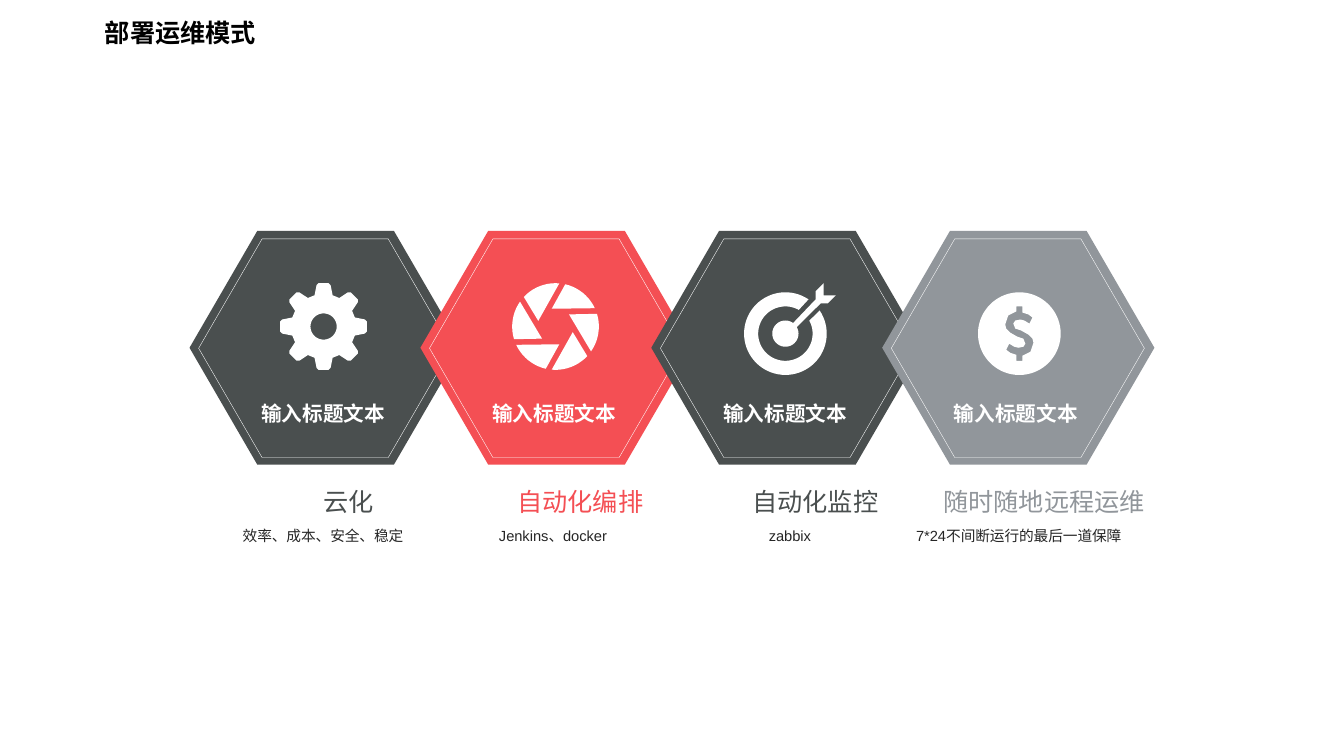
import math

import pptx
import pptx.dml.color
import pptx.enum.shapes
import pptx.enum.text
import pptx.util

Inches = pptx.util.Inches
Pt = pptx.util.Pt
Anchor = pptx.enum.text.MSO_ANCHOR
CENTER = pptx.enum.text.PP_ALIGN.CENTER
HEXAGON = pptx.enum.shapes.MSO_SHAPE.HEXAGON

WHITE = pptx.dml.color.RGBColor(0xFF, 0xFF, 0xFF)
BLACK = pptx.dml.color.RGBColor(0x00, 0x00, 0x00)
CHARCOAL = pptx.dml.color.RGBColor(0x4A, 0x4F, 0x4F)
RED = pptx.dml.color.RGBColor(0xF4, 0x4F, 0x54)
GREY = pptx.dml.color.RGBColor(0x91, 0x96, 0x9B)
BODY = pptx.dml.color.RGBColor(0x26, 0x26, 0x26)


def arc(radius, start, end):
    """Return points along a circle about (0, 0), angles in degrees clockwise from the right."""
    steps = max(4, round(abs(end - start) / 5))
    angles = [math.radians(start + (end - start) * step / steps) for step in range(steps + 1)]
    return [(radius * math.cos(angle), radius * math.sin(angle)) for angle in angles]


def write(shape, text, size, color, anchor, margin_bottom=0, wrap=False, bold=False):
    """Fill a shape with one centred paragraph and return that paragraph."""
    frame = shape.text_frame
    frame_format = {
        "margin_left": 0, "margin_top": 0, "margin_right": 0,
        "margin_bottom": Inches(margin_bottom),
        "word_wrap": wrap, "vertical_anchor": anchor,
    }
    for name, value in frame_format.items():
        setattr(frame, name, value)
    paragraph = frame.paragraphs[0]
    paragraph.text = text
    paragraph.alignment = CENTER
    for name, value in {"name": "Arial", "size": Pt(size), "bold": bold}.items():
        setattr(paragraph.font, name, value)
    paragraph.font.color.rgb = color
    return paragraph


# Icon outlines are lists of contours about the icon's centre, in inches.
tooth = [(-0.09, -0.31), (-0.07, -0.41), (-0.05, -0.43),
         (0.05, -0.43), (0.07, -0.41), (0.09, -0.31)]
gear_rim = []
for turn in range(8):
    cosine, sine = math.cos(turn * math.pi / 4), math.sin(turn * math.pi / 4)
    gear_rim += [(x * cosine - y * sine, x * sine + y * cosine) for x, y in tooth]
gear = [gear_rim, arc(0.13, 0, 360)]

blade_tip_radius, blade_tip_angle = 0.18, -102
aperture = []
for turn in range(0, 360, 60):
    blade_tip = arc(blade_tip_radius, blade_tip_angle + turn, blade_tip_angle + turn)[0]
    aperture.append(arc(0.43, turn - 77, turn - 25) + [blade_tip])

target_ring = arc(0.41, -34, 304) + arc(0.27, 299.5, -28.5)
dart = [(0.5, -0.38), (0.38, -0.38), (0.38, -0.5), (0.3, -0.42), (0.3, -0.34)]
dart += arc(0.13, 306, -30) + [(0.35, -0.3), (0.42, -0.3)]
target = [target_ring, dart]

half_dollar = [(-0.03, -0.27), (0.03, -0.27), (0.03, -0.21), (0.09, -0.19), (0.13, -0.16),
               (0.1, -0.1), (0.05, -0.13), (0.01, -0.14), (-0.04, -0.13), (-0.06, -0.1),
               (-0.04, -0.05), (0.02, -0.03), (0.09, 0.01), (0.13, 0.05), (0.14, 0.09),
               (0.11, 0.18), (0.03, 0.22)]
coin = [arc(0.41, 0, 360), half_dollar + [(-x, -y) for x, y in half_dollar]]

# Colour, icon, icon centre, text left, heading, description
stages = [
    (CHARCOAL, gear, (3.21, 3.24), 2.11, "云化", "效率、成本、安全、稳定"),
    (RED, aperture, (5.51, 3.24), 4.41, "自动化编排", "Jenkins、docker "),
    (CHARCOAL, target, (7.79, 3.31), 6.74, "自动化监控", "zabbix"),
    (GREY, coin, (10.11, 3.31), 9.01, "随时随地远程运维", "7*24不间断运行的最后一道保障"),
]
HEADING_SHIFT = 0.25

presentation = pptx.Presentation()
presentation.slide_width = Inches(13.33)
presentation.slide_height = Inches(7.5)
slide = presentation.slides.add_slide(presentation.slide_layouts[5])
shapes = slide.shapes

title = shapes.title
title_box = {"left": 0.94, "top": 0.03, "width": 3.56, "height": 0.49}
for name, value in title_box.items():
    setattr(title, name, Inches(value))
title.text_frame.vertical_anchor = Anchor.TOP
title.text_frame.auto_size = pptx.enum.text.MSO_AUTO_SIZE.SHAPE_TO_FIT_TEXT
paragraph = title.text_frame.paragraphs[0]
paragraph.text = "部署运维模式"
paragraph.alignment = pptx.enum.text.PP_ALIGN.LEFT
paragraph.line_spacing = 1.3
for name, value in {"name": "Noto Sans CJK SC", "size": Pt(18), "bold": True}.items():
    setattr(paragraph.font, name, value)
paragraph.font.color.rgb = BLACK

for index, (color, icon, center, text_left, heading, description) in enumerate(stages):
    left = 1.88 + 2.29 * index
    hexagon = shapes.add_shape(HEXAGON, Inches(left), Inches(2.29), Inches(2.7), Inches(2.32))
    hexagon.fill.solid()
    hexagon.fill.fore_color.rgb = color
    hexagon.line.fill.background()
    write(hexagon, "输入标题文本 ", 14.7, WHITE, Anchor.BOTTOM, bold=True)

    border = shapes.add_shape(HEXAGON, Inches(left + 0.09), Inches(2.37), Inches(2.51), Inches(2.17))
    border.fill.background()
    border.line.color.rgb = WHITE
    border.line.width = Pt(0.25)
    for outline in (hexagon, border):
        outline.adjustments[0] = 0.29
        outline.shadow.inherit = False

    builder = None
    for contour in icon:
        points = [(Inches(center[0] + x), Inches(center[1] + y)) for x, y in contour]
        if builder is None:
            builder = shapes.build_freeform(*points[0])
        else:
            builder.move_to(*points[0])
        builder.add_line_segments(points[1:], close=True)
    icon_shape = builder.convert_to_shape()
    icon_shape.fill.solid()
    icon_shape.fill.fore_color.rgb = WHITE
    icon_shape.line.fill.background()
    icon_shape.shadow.inherit = False

    heading_box = shapes.add_textbox(
        Inches(text_left + HEADING_SHIFT), Inches(4.62), Inches(2.19), Inches(0.58))
    write(heading_box, heading, 18, color, Anchor.BOTTOM, margin_bottom=0.08)

    description_box = shapes.add_textbox(Inches(text_left), Inches(5.19), Inches(2.19), Inches(0.76))
    paragraph = write(description_box, description, 10.5, BODY, Anchor.TOP, wrap=True)
    paragraph.line_spacing = 1.2

presentation.save("out.pptx")
